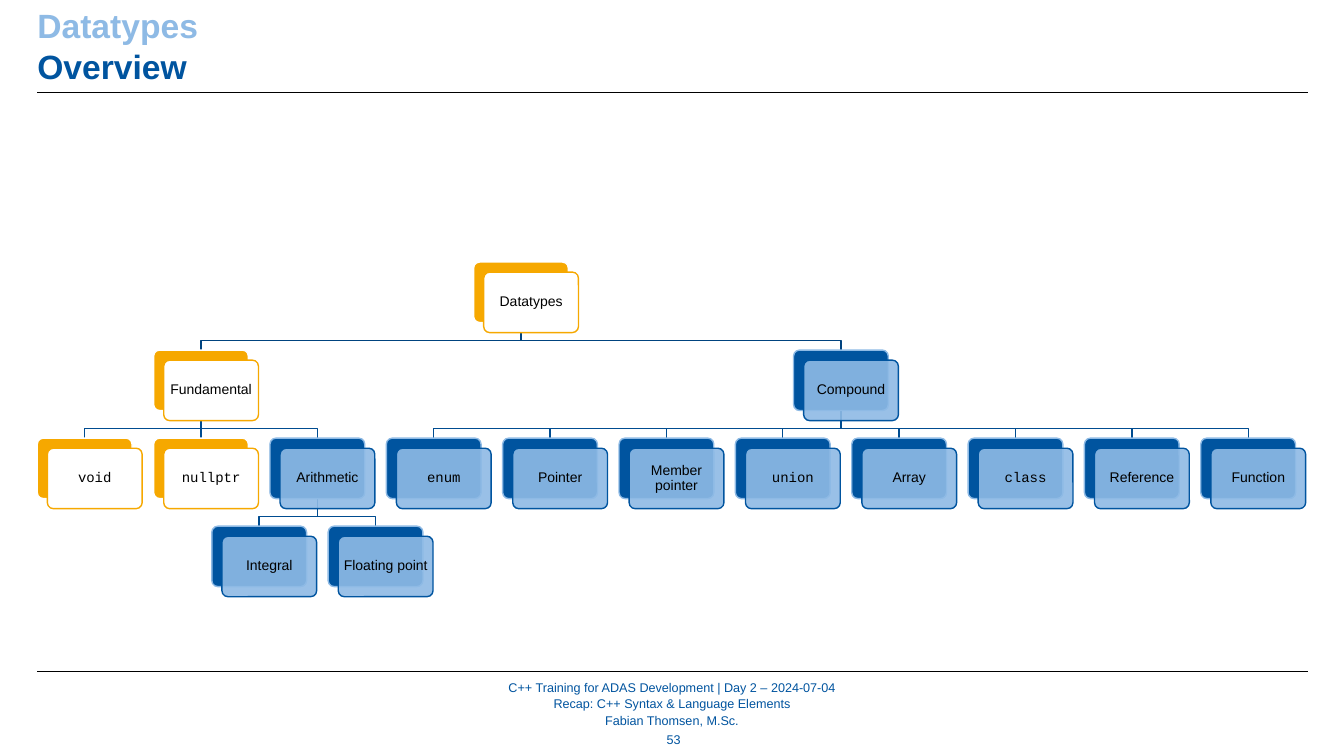
from lxml.etree import SubElement
from pptx import Presentation
from pptx.dml.color import RGBColor
from pptx.enum.shapes import MSO_CONNECTOR, MSO_SHAPE
from pptx.enum.text import MSO_ANCHOR, MSO_AUTO_SIZE, PP_ALIGN
from pptx.oxml.ns import qn
from pptx.util import Inches, Pt

COLORS = {
    "blue": "00549F", "light blue": "8EBAE5", "orange": "F6A800",
    "white": "FFFFFF", "black": "000000",
    "top branch": "00437F", "branch": "004C90",
}

# Card styles: back fill, back line, front fill, front line, front opacity
STYLES = {
    "done": ("orange", "white", "white", "orange", 100),
    "next": ("blue", "light blue", "light blue", "blue", 90),
}

SANS, MONO = "Arial", "Courier New"

# Tree geometry in inches
LEFT, RIGHT, TOP = 0.37, 12.97, 2.6
CARD_WIDTH, CARD_HEIGHT, CARD_OFFSET = 0.94, 0.6, 0.1
COLUMN_STEP = (11.91 - LEFT) / 10
LEVEL_STEP = (5.22 - TOP) / 3
BEND = 0.18

# Label: column, level, parent, style, font
NODES = {
    "Datatypes": (3.75, 0, None, "done", SANS),
    "Fundamental": (1, 1, "Datatypes", "done", SANS),
    "Compound": (6.5, 1, "Datatypes", "next", SANS),
    "void": (0, 2, "Fundamental", "done", MONO),
    "nullptr": (1, 2, "Fundamental", "done", MONO),
    "Arithmetic": (2, 2, "Fundamental", "next", SANS),
    "Integral": (1.5, 3, "Arithmetic", "next", SANS),
    "Floating point": (2.5, 3, "Arithmetic", "next", SANS),
    "enum": (3, 2, "Compound", "next", MONO),
    "Pointer": (4, 2, "Compound", "next", SANS),
    "Member pointer": (5, 2, "Compound", "next", SANS),
    "union": (6, 2, "Compound", "next", MONO),
    "Array": (7, 2, "Compound", "next", SANS),
    "class": (8, 2, "Compound", "next", MONO),
    "Reference": (9, 2, "Compound", "next", SANS),
    "Function": (10, 2, "Compound", "next", SANS),
}


def rgb(name):
    return RGBColor.from_string(COLORS[name])


def apply_format(target, values):
    for attribute, value in values.items():
        setattr(target, attribute, value)


def write_lines(frame, lines, font, paragraph, margin=0, anchor=MSO_ANCHOR.MIDDLE):
    """Write (text, color) lines, one paragraph each."""
    sides = ("margin_left", "margin_top", "margin_right", "margin_bottom")
    apply_format(frame, {side: Inches(margin) for side in sides})
    apply_format(frame, {"word_wrap": True, "auto_size": MSO_AUTO_SIZE.NONE,
                         "vertical_anchor": anchor})
    for index, (text, color) in enumerate(lines):
        para = frame.add_paragraph() if index else frame.paragraphs[0]
        apply_format(para, paragraph)
        span = para.add_run()
        span.text = text
        apply_format(span.font, font)
        span.font.color.rgb = rgb(color)


def add_text(page, box, lines):
    frame = page.shapes.add_textbox(*map(Inches, box)).text_frame
    write_lines(frame, lines, {"name": SANS, "size": Pt(9)},
                {"alignment": PP_ALIGN.CENTER, "space_after": Pt(1)})


def add_line(page, start, end, color, width):
    line = page.shapes.add_connector(
        MSO_CONNECTOR.STRAIGHT, *map(Inches, (*start, *end)))
    line.line.color.rgb = rgb(color)
    line.line.width = Pt(width)
    SubElement(line._element.spPr, qn("a:effectLst"))


def node_corner(label):
    column, level = NODES[label][:2]
    return LEFT + column * COLUMN_STEP, TOP + level * LEVEL_STEP


def add_branch(page, parent, child):
    """Join the bottom of a parent card to the top of a child card."""
    color = "branch" if NODES[parent][1] else "top branch"
    start_x, end_x = (node_corner(label)[0] + CARD_WIDTH / 2
                      for label in (parent, child))
    start_y = node_corner(parent)[1] + CARD_HEIGHT
    end_y = node_corner(child)[1]
    if start_x == end_x:
        add_line(page, (start_x, start_y), (end_x, end_y), color, 1)
        return
    bend_y = start_y + BEND
    builder = page.shapes.build_freeform(Inches(start_x), Inches(start_y))
    corners = ((start_x, bend_y), (end_x, bend_y), (end_x, end_y))
    builder.add_line_segments(
        [(Inches(x), Inches(y)) for x, y in corners], close=False)
    branch = builder.convert_to_shape()
    branch.fill.background()
    branch.line.color.rgb = rgb(color)
    branch.line.width = Pt(1)
    branch.shadow.inherit = False


def add_panel(page, left, top, fill, line, opacity=100):
    panel = page.shapes.add_shape(
        MSO_SHAPE.ROUNDED_RECTANGLE,
        *map(Inches, (left, top, CARD_WIDTH, CARD_HEIGHT)))
    panel.adjustments[0] = 0.1
    panel.shadow.inherit = False
    panel.fill.solid()
    panel.fill.fore_color.rgb = rgb(fill)
    panel.line.color.rgb = rgb(line)
    panel.line.width = Pt(1)
    if opacity < 100:
        color = panel._element.spPr.find(qn("a:solidFill"))[0]
        SubElement(color, qn("a:alpha"), val=str(opacity * 1000))
    return panel


def add_card(page, label):
    style, font = NODES[label][3:]
    back_fill, back_line, front_fill, front_line, opacity = STYLES[style]
    left, top = node_corner(label)
    add_panel(page, left, top, back_fill, back_line)
    front = add_panel(page, left + CARD_OFFSET, top + CARD_OFFSET,
                      front_fill, front_line, opacity)
    write_lines(front.text_frame, [(label, "black")],
                {"name": font, "size": Pt(10)},
                {"alignment": PP_ALIGN.CENTER, "line_spacing": 0.9}, margin=0.02)


def add_title(page):
    title = page.shapes.title
    apply_format(title, {"left": Inches(LEFT), "top": Inches(0.05),
                         "width": Inches(RIGHT - LEFT), "height": Inches(0.81)})
    write_lines(title.text_frame,
                [("Datatypes", "light blue"), ("Overview", "blue")],
                {"name": SANS, "size": Pt(24), "bold": True},
                {"alignment": PP_ALIGN.LEFT, "space_after": Pt(1)},
                anchor=MSO_ANCHOR.BOTTOM)


def main():
    deck = Presentation()
    deck.slide_width, deck.slide_height = Inches(13.33), Inches(7.5)
    page = deck.slides.add_slide(deck.slide_layouts[5])

    # Heading, rules and footer
    add_title(page)
    for y in (0.92, 6.66):
        add_line(page, (LEFT, y), (RIGHT, y), "black", 0.5)
    add_text(page, (3.43, 6.75, 6.47, 0.46), [
        ("C++ Training for ADAS Development | Day 2 – 2024-07-04", "blue"),
        ("Recap: C++ Syntax & Language Elements", "blue"),
        ("Fabian Thomsen, M.Sc.", "blue"),
    ])
    add_text(page, (6.42, 7.21, 0.52, 0.26), [("53", "blue")])

    # Tree: branches lie behind the cards
    for label, node in NODES.items():
        if node[2]:
            add_branch(page, node[2], label)
    for label in NODES:
        add_card(page, label)

    deck.save("out.pptx")


if __name__ == "__main__":
    main()
